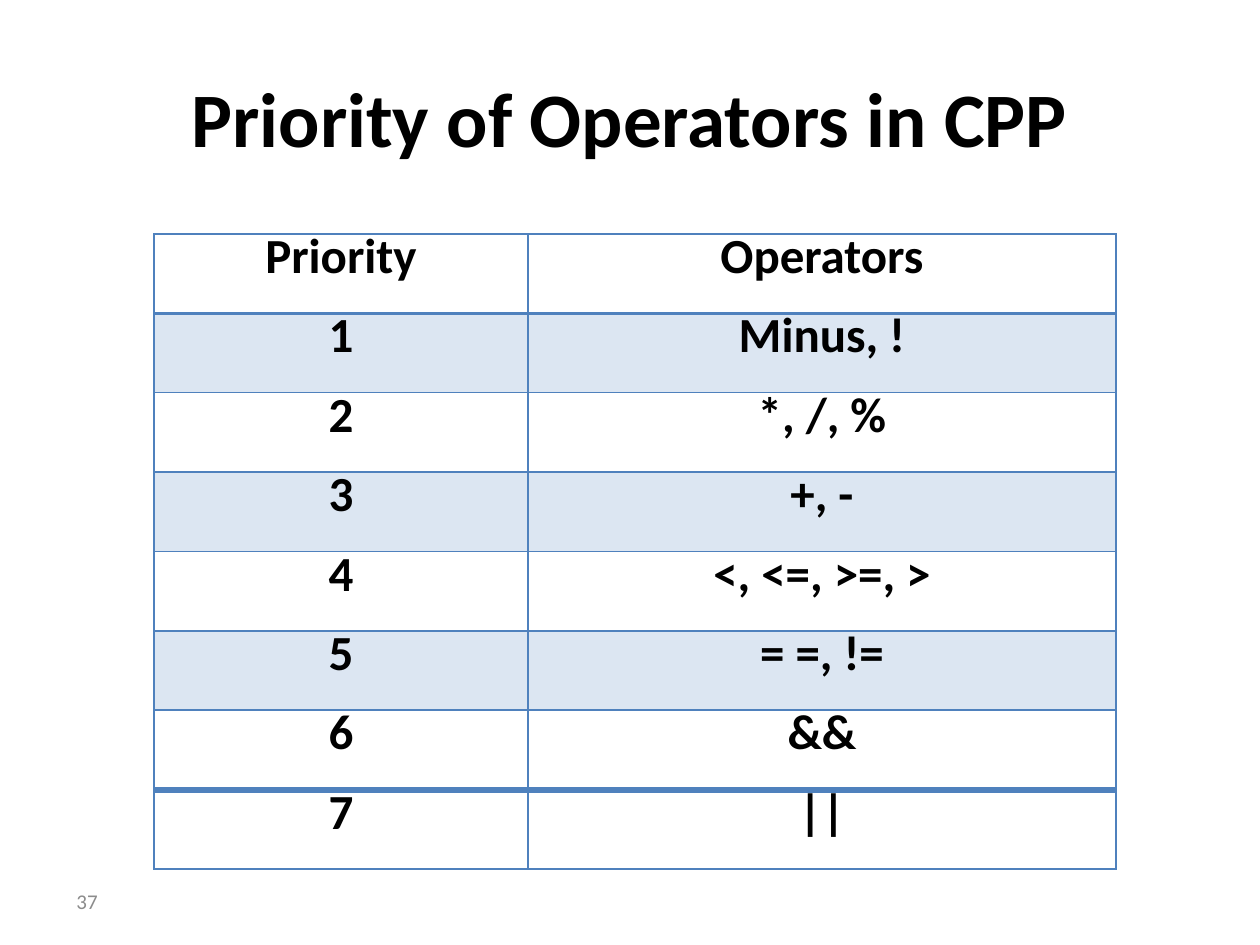
import pptx
import pptx.util
import pptx.dml.color
import pptx.enum.text
import pptx.oxml.ns
import lxml.etree

RGBColor = pptx.dml.color.RGBColor
ALIGN = pptx.enum.text.PP_ALIGN
MIDDLE = pptx.enum.text.MSO_ANCHOR.MIDDLE

BLACK = RGBColor(0x00, 0x00, 0x00)
GRAY = RGBColor(0x8C, 0x8C, 0x8C)
BLUE = RGBColor(0x4F, 0x81, 0xBD)
BAND = RGBColor(0xDC, 0xE6, 0xF2)
WHITE = RGBColor(0xFF, 0xFF, 0xFF)

TITLE = "Priority of Operators in CPP"
PAGE_NUMBER = "37"
HEADER = ("Priority", "Operators")
OPERATORS = ["Minus, !", "*, /, %", "+, -", "<, <=, >=, >", "= =, !=", "&&", "||"]
ROWS = [HEADER] + [(str(rank), text) for rank, text in enumerate(OPERATORS, 1)]

TITLE_BOX = (63, 38, 1134, 157)
NUMBER_BOX = (-184, 876, 294, 50)
TABLE_LEFT, TABLE_TOP, TABLE_HEIGHT = 154, 234, 635
COLUMN_WIDTHS = (374, 588)
CELL_INSET = 30
RULES = {1: 2, len(ROWS) - 1: 4}


def px(value):
    return round(value * 914400 / 126)


def write(frame, text, size, color=BLACK, bold=False, align=ALIGN.CENTER,
          line=None, space=None):
    paragraph = frame.paragraphs[0]
    paragraph.alignment = align
    if line:
        paragraph.line_spacing = pptx.util.Pt(line)
    if space:
        paragraph.space_before = paragraph.space_after = pptx.util.Pt(space)
    run = paragraph.add_run()
    run.text = text
    run.font.name = "Calibri"
    run.font.size = pptx.util.Pt(size)
    run.font.bold = bold
    run.font.color.rgb = color


def add_text(slide, box, text, **text_format):
    frame = slide.shapes.add_textbox(*map(px, box)).text_frame
    frame.word_wrap = True
    frame.vertical_anchor = MIDDLE
    write(frame, text, **text_format)


def set_borders(cell, row):
    widths = {"lnL": 1, "lnR": 1, "lnT": RULES.get(row, 1), "lnB": RULES.get(row + 1, 1)}
    qn = pptx.oxml.ns.qn
    properties = cell._tc.get_or_add_tcPr()
    for side, width in widths.items():
        line = lxml.etree.SubElement(properties, qn("a:" + side), w=str(pptx.util.Pt(width)))
        fill = lxml.etree.SubElement(line, qn("a:solidFill"))
        lxml.etree.SubElement(fill, qn("a:srgbClr"), val=str(BLUE))


def add_priority_table(slide):
    table = slide.shapes.add_table(
        len(ROWS), len(HEADER), px(TABLE_LEFT), px(TABLE_TOP),
        px(sum(COLUMN_WIDTHS)), px(TABLE_HEIGHT)).table
    for column, width in zip(table.columns, COLUMN_WIDTHS):
        column.width = px(width)
    for row, texts in enumerate(ROWS):
        table.rows[row].height = px(TABLE_HEIGHT / len(ROWS))
        for column, text in enumerate(texts):
            cell = table.cell(row, column)
            cell.margin_left = cell.margin_right = px(CELL_INSET)
            cell.margin_top = cell.margin_bottom = 0
            cell.vertical_anchor = MIDDLE
            set_borders(cell, row)
            cell.fill.solid()
            banded = row % 2 == 1 and row < len(ROWS) - 1
            cell.fill.fore_color.rgb = BAND if banded else WHITE
            write(cell.text_frame, text, size=28, bold=True, line=15, space=6)


presentation = pptx.Presentation()
presentation.slide_width = px(1260)
presentation.slide_height = px(945)
slide = presentation.slides.add_slide(presentation.slide_layouts[6])
add_text(slide, TITLE_BOX, TITLE, size=44, bold=True)
add_priority_table(slide)
add_text(slide, NUMBER_BOX, PAGE_NUMBER, size=12, color=GRAY, align=ALIGN.RIGHT)
presentation.save("out.pptx")
